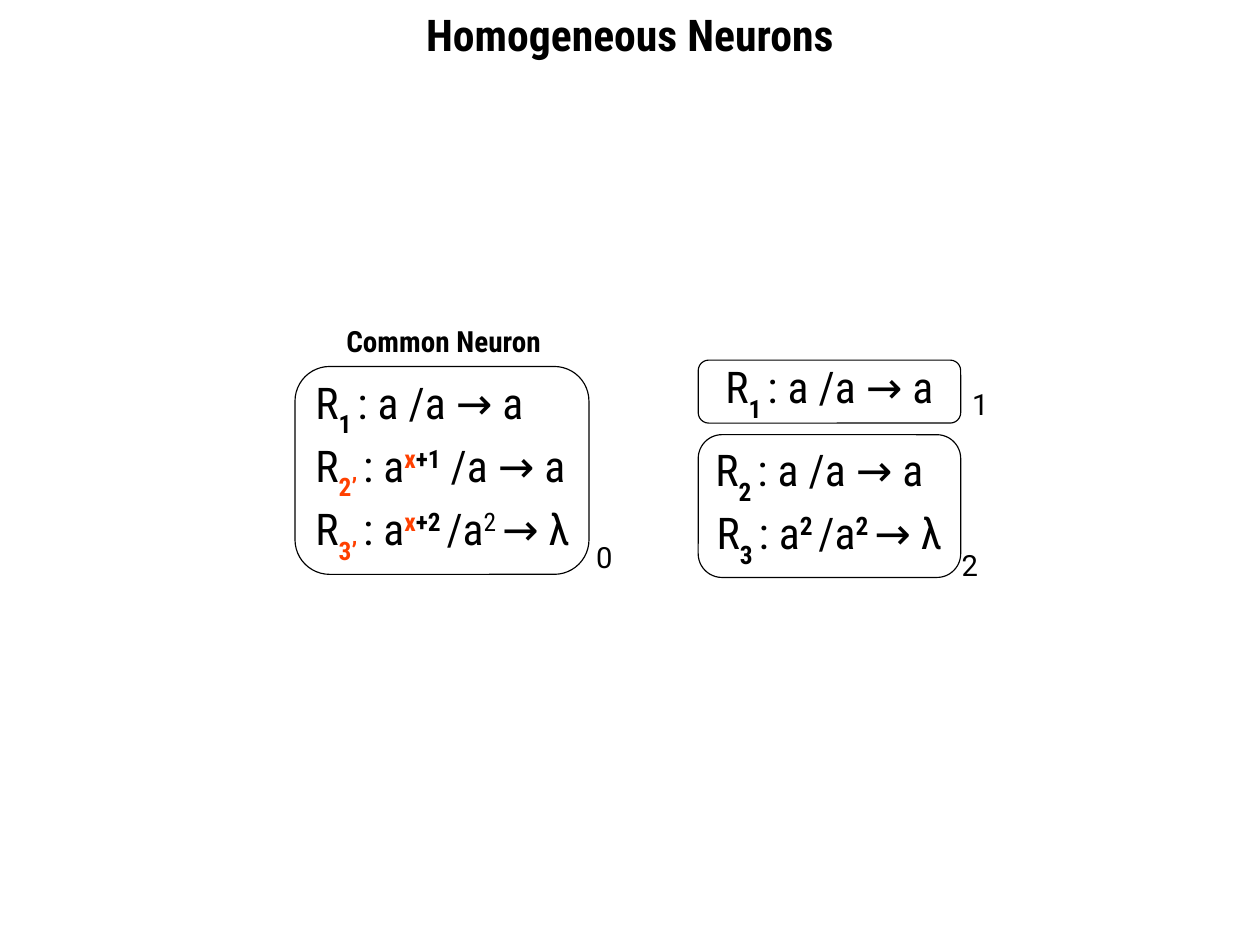
import pptx
import pptx.util
import pptx.dml.color
import pptx.enum.shapes
import pptx.enum.text

Inches, Pt = pptx.util.Inches, pptx.util.Pt
ALIGN = pptx.enum.text.PP_ALIGN
ANCHOR = pptx.enum.text.MSO_ANCHOR
AUTO = pptx.enum.text.MSO_AUTO_SIZE

BLACK = pptx.dml.color.RGBColor(0x00, 0x00, 0x00)
ORANGE = pptx.dml.color.RGBColor(0xFF, 0x40, 0x00)
CONDENSED, REGULAR = "Roboto Condensed", "Roboto"

# Run styles: bold, baseline shift in thousandths of a percent, colour
STYLES = {
    "base": (False, 0, BLACK),
    "sub": (True, -33000, BLACK),
    "sub_new": (True, -33000, ORANGE),
    "sup": (True, 33000, BLACK),
    "sup_new": (True, 33000, ORANGE),
    "sup_light": (False, 33000, BLACK),
}

# Content
TITLE = "Homogeneous Neurons"


def simple_rule(number):
    return [("R", "base"), (number + " ", "sub"), (": a /a → a", "base")]


# Neurons: left, top, width, height, rules as (alignment, runs)
NEURONS = [
    (6.65, 3.43, 2.5, 0.6, [(ALIGN.CENTER, simple_rule("1"))]),
    (6.65, 4.14, 2.5, 1.36, [
        (ALIGN.LEFT, simple_rule("2")),
        (ALIGN.CENTER, [("R", "base"), ("3 ", "sub"), (": a", "base"), ("2 ", "sup"),
                        ("/a", "base"), ("2 ", "sup"), ("→ λ", "base")]),
    ]),
    (2.81, 3.49, 2.8, 1.98, [
        (ALIGN.LEFT, simple_rule("1")),
        (ALIGN.LEFT, [("R", "base"), ("2’ ", "sub_new"), (": a", "base"), ("x", "sup_new"),
                      ("+1", "sup"), (" /a → a", "base")]),
        (ALIGN.CENTER, [("R", "base"), ("3’ ", "sub_new"), (": a", "base"), ("x", "sup_new"),
                        ("+2 ", "sup"), ("/a", "base"), ("2 ", "sup_light"), ("→ λ", "base")]),
    ]),
]

# Labels: text, left, top, width, font, bold
LABELS = [
    ("1", 9.16, 3.63, 0.39, REGULAR, False),
    ("2", 9.06, 5.16, 0.39, REGULAR, False),
    ("0", 5.58, 5.09, 0.39, REGULAR, False),
    ("Common Neuron", 3.2, 3.03, 2.1, CONDENSED, True),
]


def format_font(font, name, size, bold=False, color=BLACK):
    font.name, font.size, font.bold = name, Pt(size), bold
    font.color.rgb = color


def add_neuron(slide, left, top, width, height, rules):
    sp = slide.shapes.add_shape(pptx.enum.shapes.MSO_SHAPE.ROUNDED_RECTANGLE,
                                Inches(left), Inches(top), Inches(width), Inches(height))
    sp.shadow.inherit = False
    sp.fill.background()
    sp.line.color.rgb = BLACK
    sp.line.width = Pt(0.79)
    tf = sp.text_frame
    tf.word_wrap = False
    tf.vertical_anchor = ANCHOR.MIDDLE
    for i, (align, runs) in enumerate(rules):
        p = tf.add_paragraph() if i else tf.paragraphs[0]
        p.alignment = align
        for text, style in runs:
            bold, baseline, color = STYLES[style]
            r = p.add_run()
            r.text = text
            format_font(r.font, CONDENSED, 30, bold, color)
            if baseline:
                r._r.get_or_add_rPr().set("baseline", str(baseline))


def add_label(slide, text, left, top, width, font, bold):
    sp = slide.shapes.add_textbox(Inches(left), Inches(top), Inches(width), Inches(0.47))
    tf = sp.text_frame
    tf.word_wrap = True
    tf.text = text
    format_font(tf.paragraphs[0].runs[0].font, font, 20, bold)


def main():
    prs = pptx.Presentation()
    prs.slide_width, prs.slide_height = Inches(12), Inches(9)
    slide = prs.slides.add_slide(prs.slide_layouts[5])

    # Title
    title = slide.shapes.title
    title.left, title.top = Inches(0), Inches(0.02)
    title.width, title.height = Inches(12), Inches(0.65)
    tf = title.text_frame
    tf.text = TITLE
    tf.auto_size = AUTO.NONE
    tf.vertical_anchor = ANCHOR.TOP
    p = tf.paragraphs[0]
    p.alignment = ALIGN.CENTER
    format_font(p.runs[0].font, CONDENSED, 30, True)

    # Neurons and their labels
    for neuron in NEURONS:
        add_neuron(slide, *neuron)
    for label in LABELS:
        add_label(slide, *label)

    prs.save("out.pptx")


if __name__ == "__main__":
    main()
